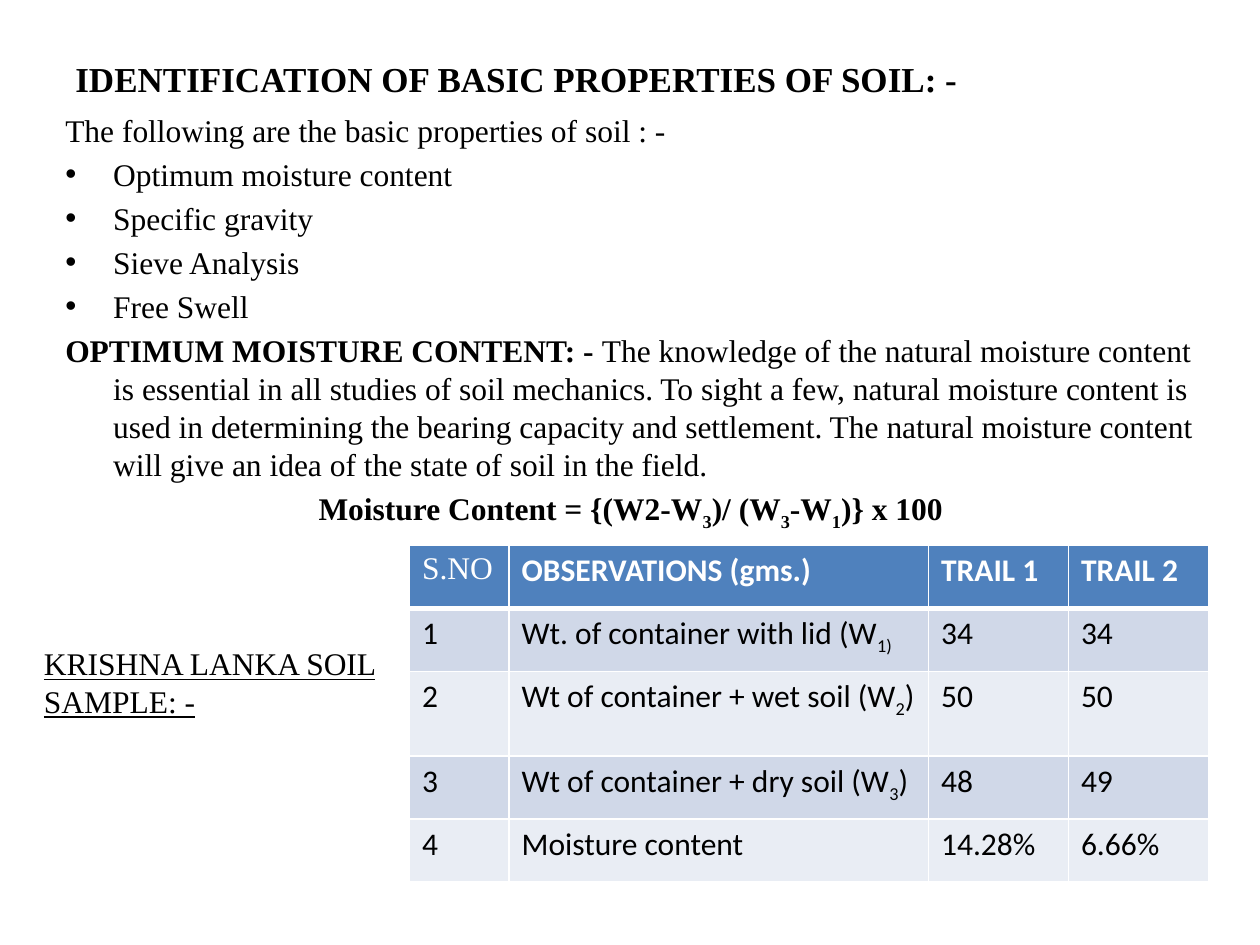
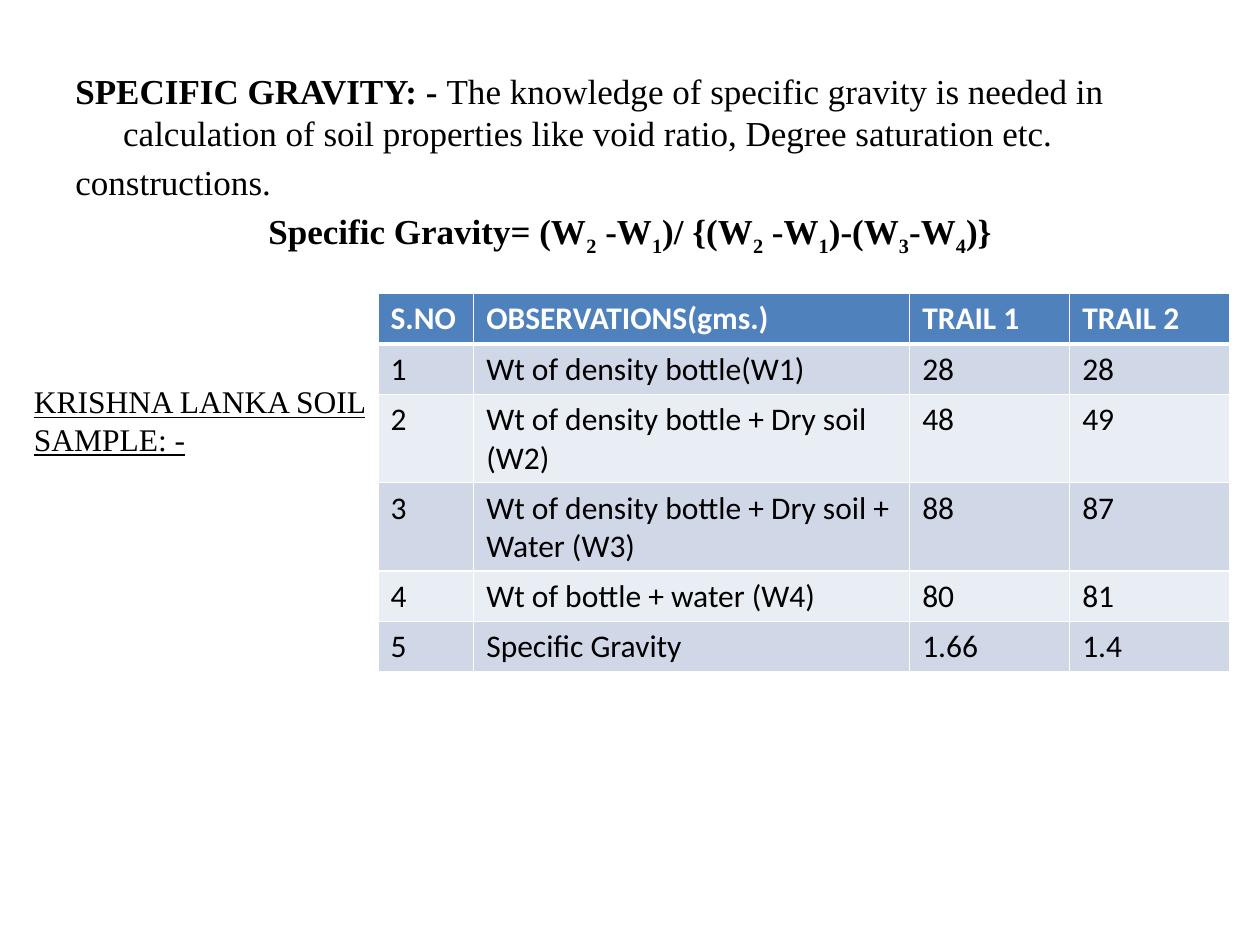
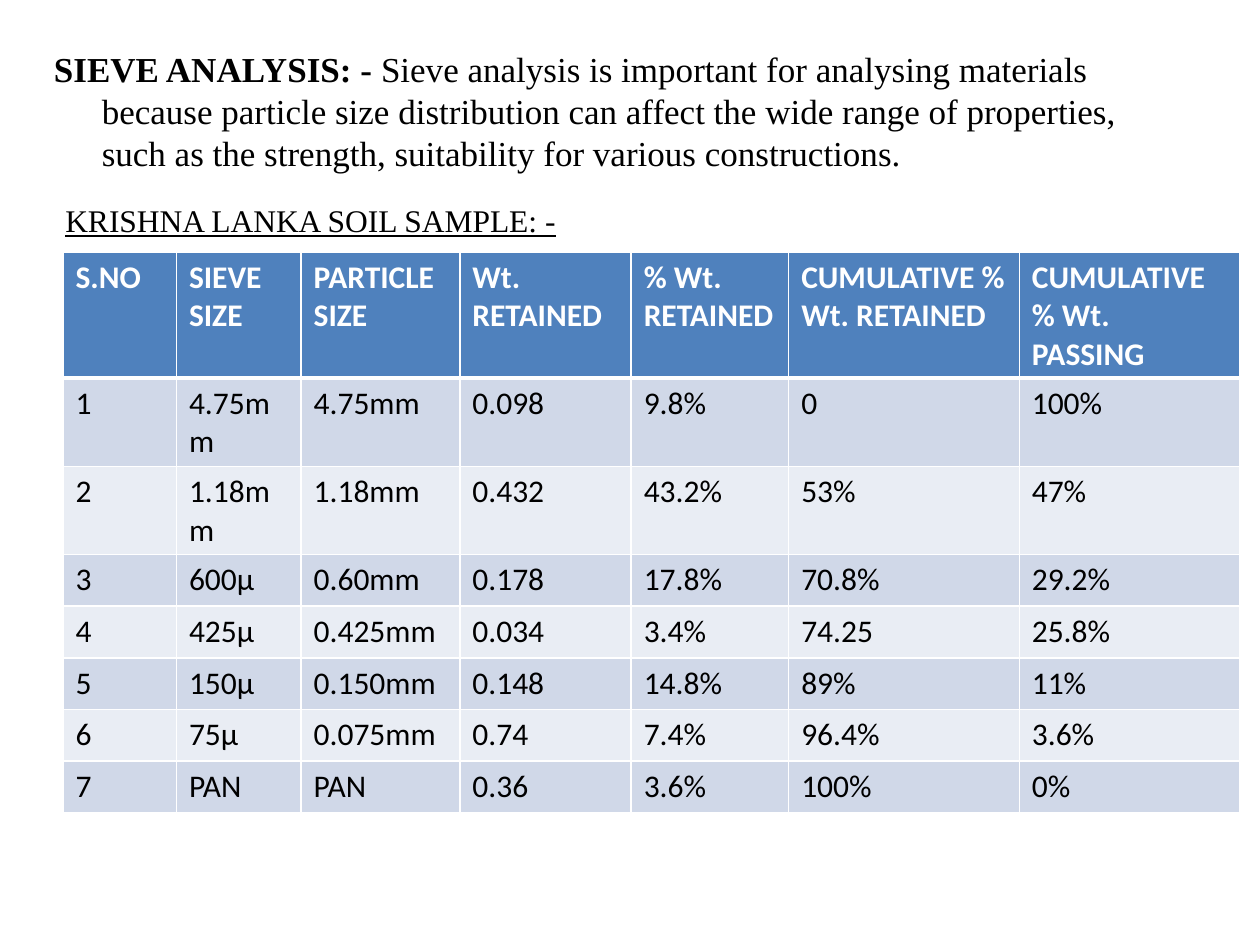
from dataclasses import dataclass

from lxml import etree
from pptx import Presentation, util as u
from pptx.dml.color import RGBColor
from pptx.enum import text
from pptx.oxml.ns import qn

SERIF = "Times New Roman"
SANS = "Calibri"
BLACK = "000000"
WHITE = "FFFFFF"
HEADER_FILL = "4F81BD"
BAND_FILLS = ("D0D8E8", "E9EDF4")
SAMPLE_LABEL = "KRISHNA LANKA SOIL SAMPLE: -"
SUBSCRIPT_MARK = "~"


@dataclass
class Box:
    left: float
    top: float
    width: float
    height: float


@dataclass
class Line:
    """A paragraph; text between two ~ marks is set as a subscript."""
    body: str = ""
    lead: str = ""
    bulleted: bool = False
    centred: bool = False


@dataclass
class TableSpec:
    left: float
    top: float
    columns: list[float]
    heights: list[float]
    rows: list[list[str]]
    serif_corner: bool = False


@dataclass
class Page:
    body_box: Box
    lines: list[Line]
    size: int
    table: TableSpec
    label_box: Box
    title: str = ""


def colour(value: str) -> RGBColor:
    return RGBColor.from_string(value)


def add_runs(paragraph, content: str, size: int, font: str = SERIF,
             ink: str = BLACK, bold: bool = False, underline: bool = False) -> None:
    for index, part in enumerate(content.split(SUBSCRIPT_MARK)):
        if not part:
            continue
        run = paragraph.add_run()
        run.text = part
        run.font.name = font
        run.font.size = u.Pt(size)
        run.font.bold = bold
        run.font.underline = underline
        run.font.color.rgb = colour(ink)
        if index % 2:
            run.font._element.set("baseline", "-25000")


def add_text_frame(slide, box: Box, anchor=text.MSO_ANCHOR.TOP):
    shape = slide.shapes.add_textbox(u.Inches(box.left), u.Inches(box.top),
                                     u.Inches(box.width), u.Inches(box.height))
    frame = shape.text_frame
    frame.word_wrap = True
    frame.vertical_anchor = anchor
    return frame


def add_heading(slide, box: Box, content: str, size: int, **style) -> None:
    frame = add_text_frame(slide, box, text.MSO_ANCHOR.MIDDLE)
    add_runs(frame.paragraphs[0], content, size, **style)


def add_body(slide, box: Box, lines: list[Line], size: int) -> None:
    frame = add_text_frame(slide, box)
    for index, line in enumerate(lines):
        paragraph = frame.add_paragraph() if index else frame.paragraphs[0]
        paragraph.space_before = u.Pt(size * 0.2)
        if line.centred:
            paragraph.alignment = text.PP_ALIGN.CENTER
        # Hanging indent and bullet
        properties = paragraph._p.get_or_add_pPr()
        properties.set("marL", str(u.Inches(0.38)))
        properties.set("indent", str(-u.Inches(0.38)))
        if line.bulleted:
            etree.SubElement(properties, qn("a:buFont"), typeface="Arial")
            etree.SubElement(properties, qn("a:buChar"), char="•")
        add_runs(paragraph, line.lead, size, bold=True)
        add_runs(paragraph, line.body, size)


def add_borders(cell, row: int) -> None:
    """White grid, with a thick rule between the header and the first row."""
    widths = {"L": 1, "R": 1, "T": 3 if row == 1 else 1, "B": 3 if row == 0 else 1}
    properties = cell._tc.get_or_add_tcPr()
    for side, width in widths.items():
        border = etree.SubElement(properties, qn(f"a:ln{side}"), w=str(u.Pt(width)))
        fill = etree.SubElement(border, qn("a:solidFill"))
        etree.SubElement(fill, qn("a:srgbClr"), val=WHITE)


def add_table(slide, spec: TableSpec) -> None:
    frame = slide.shapes.add_table(
        len(spec.rows), len(spec.columns), u.Inches(spec.left), u.Inches(spec.top),
        u.Inches(sum(spec.columns)), u.Inches(sum(spec.heights)))
    table = frame.table
    table.first_row = table.horz_banding = False
    for column, width in zip(table.columns, spec.columns):
        column.width = u.Inches(width)
    for row_index, (height, values) in enumerate(zip(spec.heights, spec.rows)):
        table.rows[row_index].height = u.Inches(height)
        header = row_index == 0
        for column_index, value in enumerate(values):
            cell = table.cell(row_index, column_index)
            serif = spec.serif_corner and header and column_index == 0
            add_borders(cell, row_index)
            cell.fill.solid()
            cell.fill.fore_color.rgb = colour(
                HEADER_FILL if header else BAND_FILLS[(row_index - 1) % 2])
            add_runs(cell.text_frame.paragraphs[0], value, 18,
                     font=SERIF if serif else SANS, ink=WHITE if header else BLACK,
                     bold=header and not serif)


PAGES = [
    # Basic properties and moisture content
    Page(
        title="IDENTIFICATION OF BASIC PROPERTIES OF SOIL: -",
        body_box=Box(0.42, 0.83, 9.17, 6.17),
        size=18,
        lines=[
            Line("The following are the basic properties of soil : -"),
            *(Line(name, bulleted=True) for name in (
                "Optimum moisture content", "Specific gravity",
                "Sieve Analysis", "Free Swell")),
            Line("The knowledge of the natural moisture content is essential in all "
                 "studies of soil mechanics. To sight a few, natural moisture content "
                 "is used in determining the bearing capacity and settlement. The "
                 "natural moisture content will give an idea of the state of soil in "
                 "the field.", lead="OPTIMUM MOISTURE CONTENT: - "),
            Line(lead="Moisture Content = {(W2-W~3~)/ (W~3~-W~1~)} x 100", centred=True),
        ],
        table=TableSpec(
            3.25, 4.33, [0.79, 3.33, 1.11, 1.11], [0.5, 0.5, 0.67, 0.5, 0.5],
            [["S.NO", "OBSERVATIONS (gms.)", "TRAIL 1", "TRAIL 2"],
             ["1", "Wt. of container with lid (W~1)~", "34", "34"],
             ["2", "Wt of container + wet soil (W~2~)", "50", "50"],
             ["3", "Wt of container + dry soil (W~3~)", "48", "49"],
             ["4", "Moisture content", "14.28%", "6.66%"]],
            serif_corner=True),
        label_box=Box(0.25, 5, 3.42, 0.83),
    ),
    # Specific gravity
    Page(
        body_box=Box(0.5, 0.5, 9, 6.58),
        size=20,
        lines=[
            Line("The knowledge of specific gravity is needed in calculation of soil "
                 "properties like void ratio, Degree saturation etc.",
                 lead="SPECIFIC GRAVITY: - "),
            Line("constructions."),
            Line(lead="Specific Gravity= (W~2~ -W~1~)/ {(W~2~ -W~1~)-(W~3~-W~4~)}",
                 centred=True),
        ],
        table=TableSpec(
            3, 2.33, [0.76, 3.46, 1.27, 1.27], [0.38, 0.38, 0.67, 0.67, 0.38, 0.38],
            [["S.NO", "OBSERVATIONS(gms.)", "TRAIL 1", "TRAIL 2"],
             ["1", "Wt of density bottle(W1)", "28", "28"],
             ["2", "Wt of density bottle + Dry soil (W2)", "48", "49"],
             ["3", "Wt of density bottle + Dry soil + Water (W3)", "88", "87"],
             ["4", "Wt of bottle + water (W4)", "80", "81"],
             ["5", "Specific Gravity", "1.66", "1.4"]]),
        label_box=Box(0.17, 2.92, 3.42, 0.83),
    ),
    # Sieve analysis
    Page(
        body_box=Box(0.33, 0.33, 9, 6.92),
        size=20,
        lines=[
            Line("Sieve analysis is important for analysing materials because particle "
                 "size distribution can affect the wide range of properties, such as "
                 "the strength, suitability for various constructions.",
                 lead="SIEVE ANALYSIS: - "),
        ],
        table=TableSpec(
            0.5, 2, [0.9, 0.99, 1.26, 1.36, 1.25, 1.83, 1.75], [0.41] * 8,
            [["S.NO", "SIEVE SIZE", "PARTICLE SIZE", "Wt. RETAINED", "% Wt. RETAINED",
              "CUMULATIVE % Wt. RETAINED", "CUMULATIVE % Wt. PASSING"],
             ["1", "4.75mm", "4.75mm", "0.098", "9.8%", "0", "100%"],
             ["2", "1.18mm", "1.18mm", "0.432", "43.2%", "53%", "47%"],
             ["3", "600µ", "0.60mm", "0.178", "17.8%", "70.8%", "29.2%"],
             ["4", "425µ", "0.425mm", "0.034", "3.4%", "74.25", "25.8%"],
             ["5", "150µ", "0.150mm", "0.148", "14.8%", "89%", "11%"],
             ["6", "75µ", "0.075mm", "0.74", "7.4%", "96.4%", "3.6%"],
             ["7", "PAN", "PAN", "0.36", "3.6%", "100%", "0%"]]),
        label_box=Box(0.42, 1.33, 5.67, 0.83),
    ),
]


def main() -> None:
    presentation = Presentation()
    presentation.slide_width = u.Inches(10)
    presentation.slide_height = u.Inches(7.5)
    for page in PAGES:
        slide = presentation.slides.add_slide(presentation.slide_layouts[6])
        if page.title:
            add_heading(slide, Box(0.5, 0, 9, 1.25), page.title, 20, bold=True)
        add_body(slide, page.body_box, page.lines, page.size)
        add_table(slide, page.table)
        add_heading(slide, page.label_box, SAMPLE_LABEL, 18, underline=True)
    presentation.save("out.pptx")


if __name__ == "__main__":
    main()
